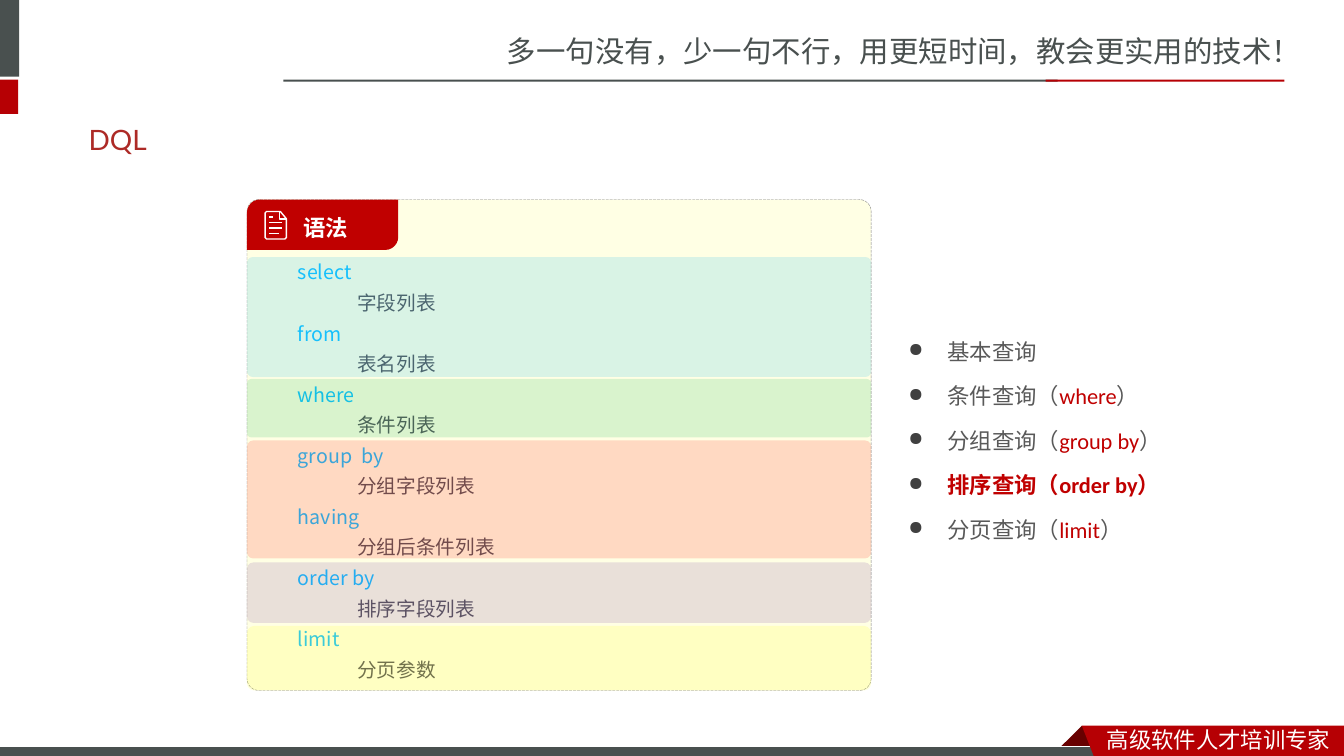
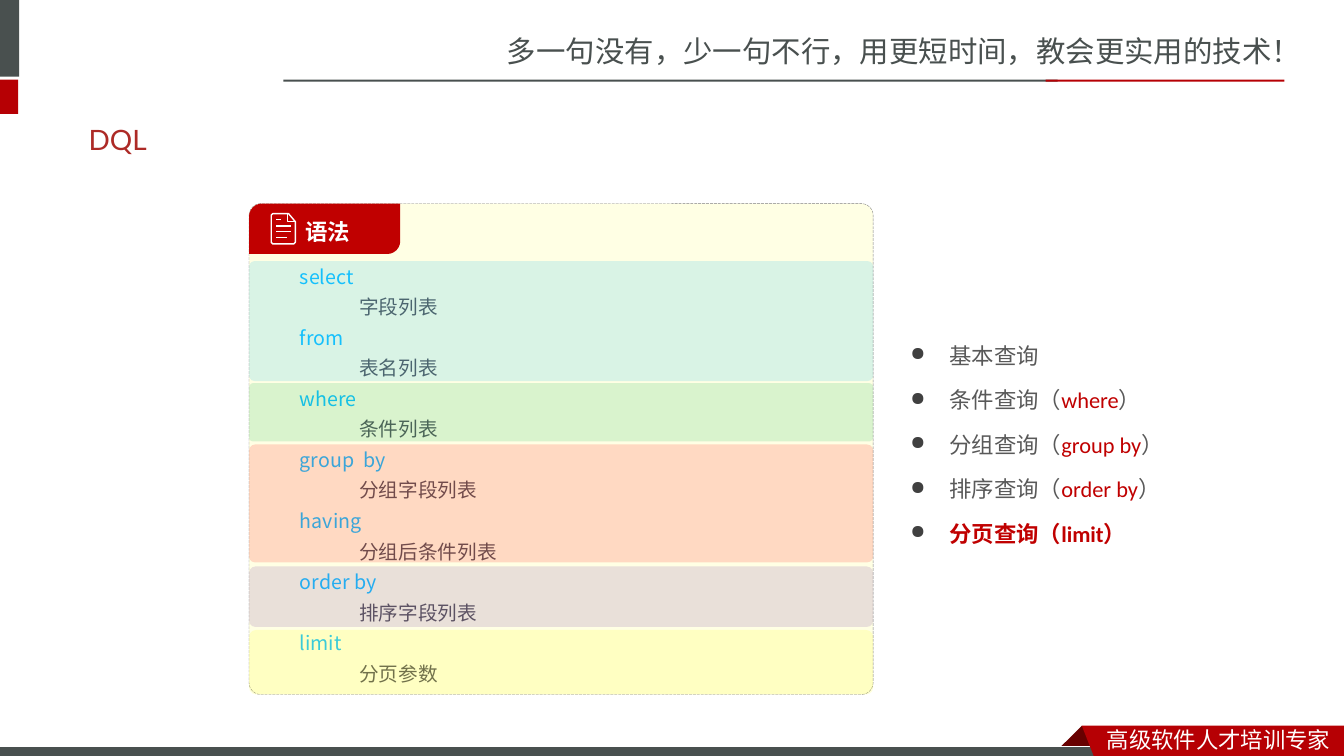
from lxml.etree import SubElement
from pptx import Presentation
from pptx.dml.color import RGBColor
from pptx.enum.dml import MSO_LINE_DASH_STYLE as Dash
from pptx.enum.shapes import MSO_SHAPE as Geo
from pptx.enum.text import MSO_ANCHOR as Anchor
from pptx.oxml.ns import qn
from pptx.util import Inches, Pt

SLATE, RED, DARK_RED = "49504F", "B60004", "680000"
ACCENT, TITLE_RED, WHITE = "C00000", "AD2A26", "FFFFFF"
GREY, KEYWORD, BULLET = "595959", "19C3FF", "404040"
SC, JP = "Noto Sans CJK SC", "Noto Sans CJK JP"

CLAUSES = [
    ("select", "字段列表"),
    ("from", "表名列表"),
    ("where", "条件列表"),
    ("group  by", "分组字段列表"),
    ("having", "分组后条件列表"),
    ("order by", "排序字段列表"),
    ("limit", "分页参数"),
]
BANDS = [
    (0.57, 1.19, 0.046, "00B0F0"),
    (1.78, 0.58, 0.073, "00B050"),
    (2.39, 1.17, 0.051, "FF0000"),
    (3.6, 0.6, 0.106, "7030A0"),
    (4.23, 0.64, 0.11, "FFFF00"),
]
QUERIES = [
    ("基本查询", ""),
    ("条件查询", "where"),
    ("分组查询", "group by"),
    ("排序查询", "order by"),
    ("分页查询", "limit"),
]


def rgb(colour):
    return RGBColor.from_string(colour)


def paint(shape, fill, line=None, width=0.75, alpha=None):
    shape.shadow.inherit = False
    if fill:
        shape.fill.solid()
        shape.fill.fore_color.rgb = rgb(fill)
        if alpha:
            colour = shape._element.spPr.find(".//" + qn("a:srgbClr"))
            SubElement(colour, qn("a:alpha"), val=str(alpha * 1000))
    else:
        shape.fill.background()
    if line:
        shape.line.color.rgb = rgb(line)
        shape.line.width = Pt(width)
    else:
        shape.line.fill.background()
    return shape


def add_block(slide, box, fill, geo=Geo.RECTANGLE, adjust=(), **look):
    shape = slide.shapes.add_shape(geo, *map(Inches, box))
    for index, value in enumerate(adjust):
        shape.adjustments[index] = value
    return paint(shape, fill, **look)


def add_outline(slide, contours, closed=True):
    (x, y), *_ = contours[0]
    builder = slide.shapes.build_freeform(Inches(x), Inches(y), scale=1.0)
    for index, points in enumerate(contours):
        corners = [(Inches(px), Inches(py)) for px, py in points]
        if index:
            builder.move_to(*corners[0])
        builder.add_line_segments(corners[1:], close=closed)
    return builder.convert_to_shape()


def style(paragraph, size, font, colour, bold=False, east=None):
    paragraph.font.name = font
    paragraph.font.size = Pt(size)
    paragraph.font.bold = bold
    paragraph.font.color.rgb = rgb(colour)
    props = paragraph._p.get_or_add_pPr().find(qn("a:defRPr"))
    SubElement(props, qn("a:ea"), typeface=east or font)


def set_insets(frame, left=0.1, top=0.05, right=0.1, bottom=0.05):
    frame.word_wrap = True
    frame.margin_left, frame.margin_top = Inches(left), Inches(top)
    frame.margin_right, frame.margin_bottom = Inches(right), Inches(bottom)


def add_text(slide, box, text, size, font, colour, anchor=Anchor.TOP):
    frame = slide.shapes.add_textbox(*map(Inches, box)).text_frame
    set_insets(frame)
    frame.vertical_anchor = anchor
    paragraph = frame.paragraphs[0]
    paragraph.text = text
    style(paragraph, size, font, colour)


def next_paragraph(frame, index):
    return frame.add_paragraph() if index else frame.paragraphs[0]


def indent(paragraph, left, first=0):
    props = paragraph._p.get_or_add_pPr()
    props.set("marL", str(Inches(left)))
    props.set("indent", str(Inches(first)))
    props.set("algn", "l")
    return props


def add_header(slide):
    add_text(slide, (4.93, 0.28, 8.41, 0.47),
             "多一句没有，少一句不行，用更短时间，教会更实用的技术！", 21, SC, SLATE)
    for box, colour in [
        ((0, 0, 0.19, 0.76), SLATE),
        ((0, 0.79, 0.18, 0.34), RED),
        ((2.81, 0.79, 7.68, 0.02), SLATE),
        ((10.37, 0.79, 2.37, 0.02), RED),
    ]:
        add_block(slide, box, colour)


def add_footer(slide):
    fold = [(10.73, 7.2), (10.95, 7.42), (10.94, 7.43), (10.52, 7.43), (10.51, 7.42)]
    ribbon = [(10.73, 7.2), (13.33, 7.2), (13.33, 7.54), (10.86, 7.53)]
    paint(add_outline(slide, [fold]), DARK_RED)
    add_block(slide, (-0.01, 7.41, 11, 0.12), SLATE, line=WHITE)
    paint(add_outline(slide, [ribbon]), RED)
    add_text(slide, (10.88, 7.15, 2.45, 0.37), "高级软件人才培训专家", 16, SC, WHITE)


def add_page_icon(slide, left, top, width, height):
    page = [(0.7, 0.03), (0.1, 0.03), (0.04, 0.08), (0.04, 0.92), (0.1, 0.97),
            (0.9, 0.97), (0.96, 0.92), (0.96, 0.28), (0.7, 0.03)]
    fold = [(0.67, 0.03), (0.67, 0.28), (0.96, 0.28)]
    rows = [(0.22, 0.4), (0.41, 0.78), (0.59, 0.78), (0.78, 0.63)]
    lines = [[(0.23, y), (end, y)] for y, end in rows]
    contours = [[(left + x * width, top + y * height) for x, y in points]
                for points in [page, fold, *lines]]
    paint(add_outline(slide, contours, closed=False), None, line=WHITE, width=1)


def add_syntax(slide, left, top, icon):
    width = 6.19
    panel = add_block(slide, (left, top, width, 4.87), "FFFFE4", Geo.ROUNDED_RECTANGLE,
                      [0.024], line="808080", width=0.25)
    panel.line.dash_style = Dash.LONG_DASH
    frame = panel.text_frame
    set_insets(frame, left=0.47, top=0.5)
    frame.vertical_anchor = Anchor.TOP
    rows = [row for keyword, operand in CLAUSES
            for row in ((keyword, KEYWORD, 0), (operand, GREY, 0.59))]
    for index, (text, colour, offset) in enumerate(rows):
        paragraph = next_paragraph(frame, index)
        paragraph.text = text
        paragraph.line_spacing = 1.3
        indent(paragraph, offset)
        style(paragraph, 14, JP, colour)

    label = add_block(slide, (left, top, 1.5, 0.5), ACCENT,
                      Geo.ROUND_2_DIAG_RECTANGLE, [0.258, 0])
    set_insets(label.text_frame, left=0.52, top=0.05, right=0.04, bottom=0)
    label.text_frame.vertical_anchor = Anchor.MIDDLE
    heading = label.text_frame.paragraphs[0]
    heading.text = "语法"
    indent(heading, 0)
    style(heading, 16, JP, WHITE, bold=True)

    for offset, height, corner, colour in BANDS:
        add_block(slide, (left, top + offset, width, height), colour,
                  Geo.ROUNDED_RECTANGLE, [corner], alpha=15)
    dx, dy, icon_width, icon_height = icon
    add_page_icon(slide, left + dx, top + dy, icon_width, icon_height)


def add_queries(slide, left, top, active):
    frame = slide.shapes.add_textbox(*map(Inches, (left, top, 2.99, 2.36))).text_frame
    set_insets(frame)
    for index, (name, clause) in enumerate(QUERIES):
        paragraph = next_paragraph(frame, index)
        paragraph.line_spacing = 1.5
        paragraph.space_before = Pt(3)
        props = indent(paragraph, 0.39, -0.39)
        SubElement(SubElement(props, qn("a:buClr")), qn("a:srgbClr"), val=BULLET)
        SubElement(props, qn("a:buSzPct"), val="85000")
        SubElement(props, qn("a:buChar"), char="●")
        current = clause == active
        style(paragraph, 16, "Calibri", ACCENT if current else GREY, current, SC)
        if current:
            paragraph.add_run().text = f"{name}（{clause}）"
        elif clause:
            paragraph.add_run().text = f"{name}（"
            keyword = paragraph.add_run()
            keyword.text = clause
            keyword.font.color.rgb = rgb(ACCENT)
            paragraph.add_run().text = "）"
        else:
            paragraph.add_run().text = name


def add_dql_slide(deck, left, top, icon, active):
    slide = deck.slides.add_slide(deck.slide_layouts[6])
    add_header(slide)
    add_footer(slide)
    add_text(slide, (0.78, 1.1, 11.76, 0.57), "DQL", 20, "Lato", TITLE_RED, Anchor.MIDDLE)
    add_queries(slide, left + 6.46, top + 1.19, active)
    add_syntax(slide, left, top, icon)


def main():
    deck = Presentation()
    deck.slide_width, deck.slide_height = Inches(13.33), Inches(7.5)
    add_dql_slide(deck, 2.45, 1.98, (0.17, 0.11, 0.23, 0.29), "order by")
    add_dql_slide(deck, 2.47, 2.02, (0.21, 0.09, 0.26, 0.32), "limit")
    deck.save("out.pptx")


if __name__ == "__main__":
    main()
